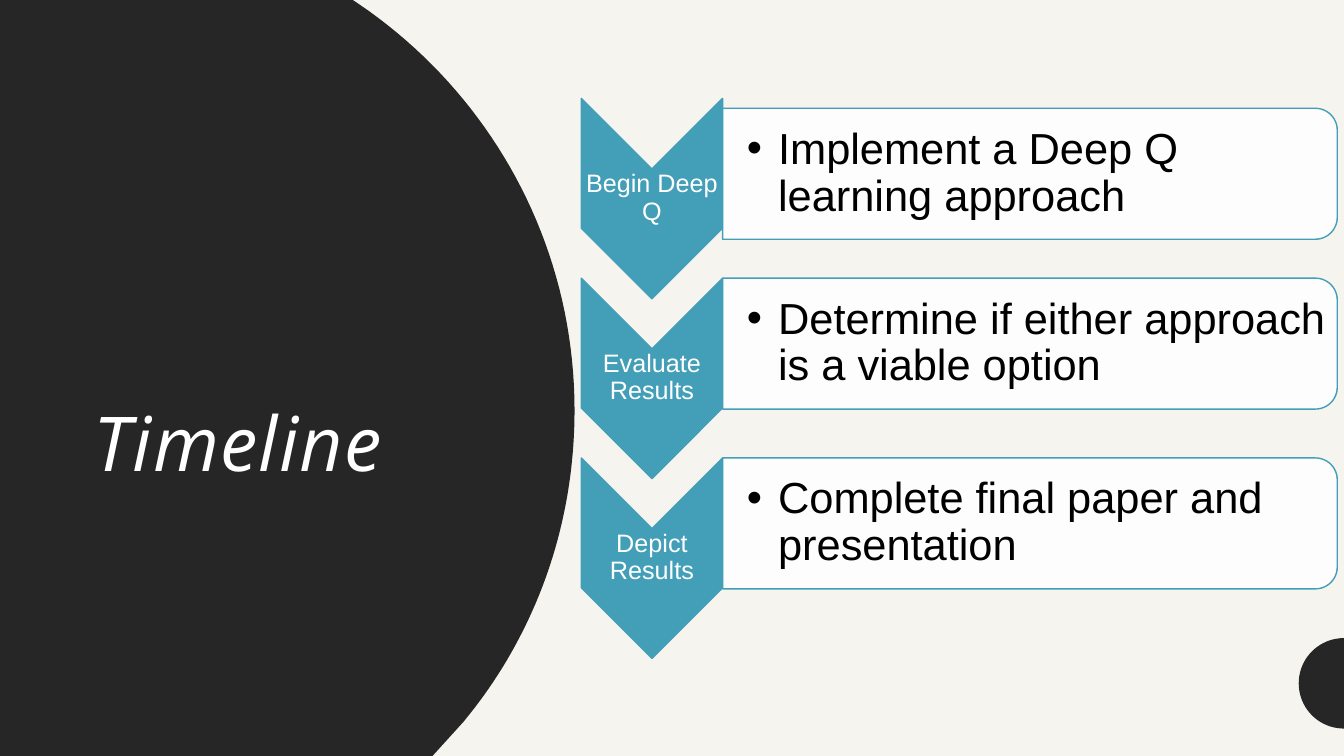
import math
import pptx
import pptx.util
import pptx.dml.color
import pptx.enum.shapes
import pptx.enum.text
import pptx.oxml
import pptx.oxml.ns

Cm, Pt = pptx.util.Cm, pptx.util.Pt
Kind = pptx.enum.shapes.MSO_SHAPE
Align = pptx.enum.text.PP_ALIGN
Anchor = pptx.enum.text.MSO_ANCHOR
DARK, CREAM, TEAL, WHITE, BLACK = "262626", "F6F4EF", "439EB7", "FFFFFF", "000000"
WIDE, HIGH = 33.87, 19.05


def tint(fill, hue):
    fill.solid()
    fill.fore_color.rgb = pptx.dml.color.RGBColor.from_string(hue)


def apply(item, style):
    for key, value in style.items():
        setattr(item, key, value)


def node(parent, tag, **attrs):
    child = pptx.oxml.parse_xml(f"<a:{tag} {pptx.oxml.ns.nsdecls('a')}/>")
    for key, value in attrs.items():
        child.set(key, value)
    parent.append(child)


def outline(slide, points):
    spots = [(Cm(x), Cm(y)) for x, y in points]
    pen = slide.shapes.build_freeform(*spots[0])
    pen.add_line_segments(spots[1:], close=True)
    shape = pen.convert_to_shape()
    shape.shadow.inherit = False
    tint(shape.fill, DARK)
    shape.line.fill.background()


def bezier(a, b, c, d, steps=40):
    for i in range(steps + 1):
        t = i / steps
        u = 1 - t
        yield tuple(u**3 * p + 3 * u * u * t * q + 3 * u * t * t * r + t**3 * s
                    for p, q, r, s in zip(a, b, c, d))


def turned(slide, kind, box, hue):
    x, y, w, h = box
    place = (x + (w - h) / 2, y + (h - w) / 2, h, w)
    shape = slide.shapes.add_shape(kind, *map(Cm, place))
    apply(shape, {"rotation": 90})
    shape.shadow.inherit = False
    tint(shape.fill, hue)
    tint(shape.line.fill, TEAL)
    shape.line.width = Pt(1)
    return shape


def label(slide, box, words, hue, frame, face, para):
    text = slide.shapes.add_textbox(*map(Cm, box)).text_frame
    apply(text, {"word_wrap": True, **frame})
    line = text.paragraphs[0]
    apply(line, {"line_spacing": 0.9, **para})
    run = line.add_run()
    run.text = words
    apply(run.font, face)
    tint(run.font.fill, hue)
    return line, run


def cover(slide, box):
    x, y, w, h = box
    upper = bezier((9.04, 0.1), (12.34, 2.34), (w, 6.1), (w, 10.34))
    lower = bezier((w, 10.34), (w, 13.34), (13.44, 16.07), (11.68, 18.19))
    edge = [(0, 0), (8.89, 0), *upper, *lower, (10.9, h), (0, h)]
    outline(slide, [(x + px, y + py) for px, py in edge])
    _, run = label(slide, (x + 2.11, y + 3.12, 9.58, 9.3), "Timeline", WHITE,
                   {"vertical_anchor": Anchor.BOTTOM},
                   {"name": "Open Sans", "size": Pt(54), "italic": True}, {})
    run.font._element.set("spc", "100")


def corner(slide, box):
    x, y, w, h = box
    angles = [math.pi * (0.5 + i / 40) for i in range(41)]
    outline(slide, [(x + w + w * math.cos(a), y + h / 2 + h / 2 * math.sin(a))
                    for a in angles])


def stage(slide, box, name, task, drop):
    x, y, w, h = box
    wing = 3.56
    turned(slide, Kind.CHEVRON, (x, y, wing, h), TEAL)
    label(slide, (x, y + 1.76, wing, 1.52), name, WHITE,
          {"vertical_anchor": Anchor.MIDDLE, "margin_left": Cm(0.03),
           "margin_right": Cm(0.03), "margin_top": Cm(0.03), "margin_bottom": Cm(0.03)},
          {"name": "Arial", "size": Pt(18)}, {"alignment": Align.CENTER})
    left, top = x + wing, y + drop
    panel = turned(slide, Kind.ROUND_2_SAME_RECTANGLE, (left, top, w - wing, 3.3), WHITE)
    color = panel.fill._xPr.find(pptx.oxml.ns.qn("a:solidFill"))[0]
    node(color, "alpha", val="90000")
    line, _ = label(slide, (left, top + 0.16, w - wing - 0.15, 2.97), task, BLACK,
                    {"vertical_anchor": Anchor.MIDDLE, "margin_left": Cm(0.61),
                     "margin_right": Cm(0.05), "margin_top": Cm(0.05),
                     "margin_bottom": Cm(0.05)},
                    {"name": "Arial", "size": Pt(31)}, {"level": 1})
    props = line._p.get_or_add_pPr()
    props.set("marL", str(Cm(0.79)))
    props.set("indent", str(-Cm(0.79)))
    node(props, "buFont", typeface="Arial")
    node(props, "buChar", char="•")


def stages(slide, box):
    x, y, w, h = box
    tall = 5.05
    step = (h - tall) / 2
    rows = [("Begin Deep Q", "Implement a Deep Q learning approach", 0.25),
            ("Evaluate Results", "Determine if either approach is a viable option", 0),
            ("Depict Results", "Complete final paper and presentation", 0)]
    for i, row in enumerate(rows):
        stage(slide, (x, y + i * step, w, tall), *row)


deck = pptx.Presentation()
apply(deck, {"slide_width": Cm(WIDE), "slide_height": Cm(HIGH)})
slide = deck.slides.add_slide(deck.slide_layouts[6])
tint(slide.background.fill, CREAM)
cover(slide, (0, 0, 14.48, HIGH))
corner(slide, (WIDE - 1.14, 16.08, 1.14, 2.28))
stages(slide, (14.65, 2.48, 19.05, 14.11))
deck.save("out.pptx")
